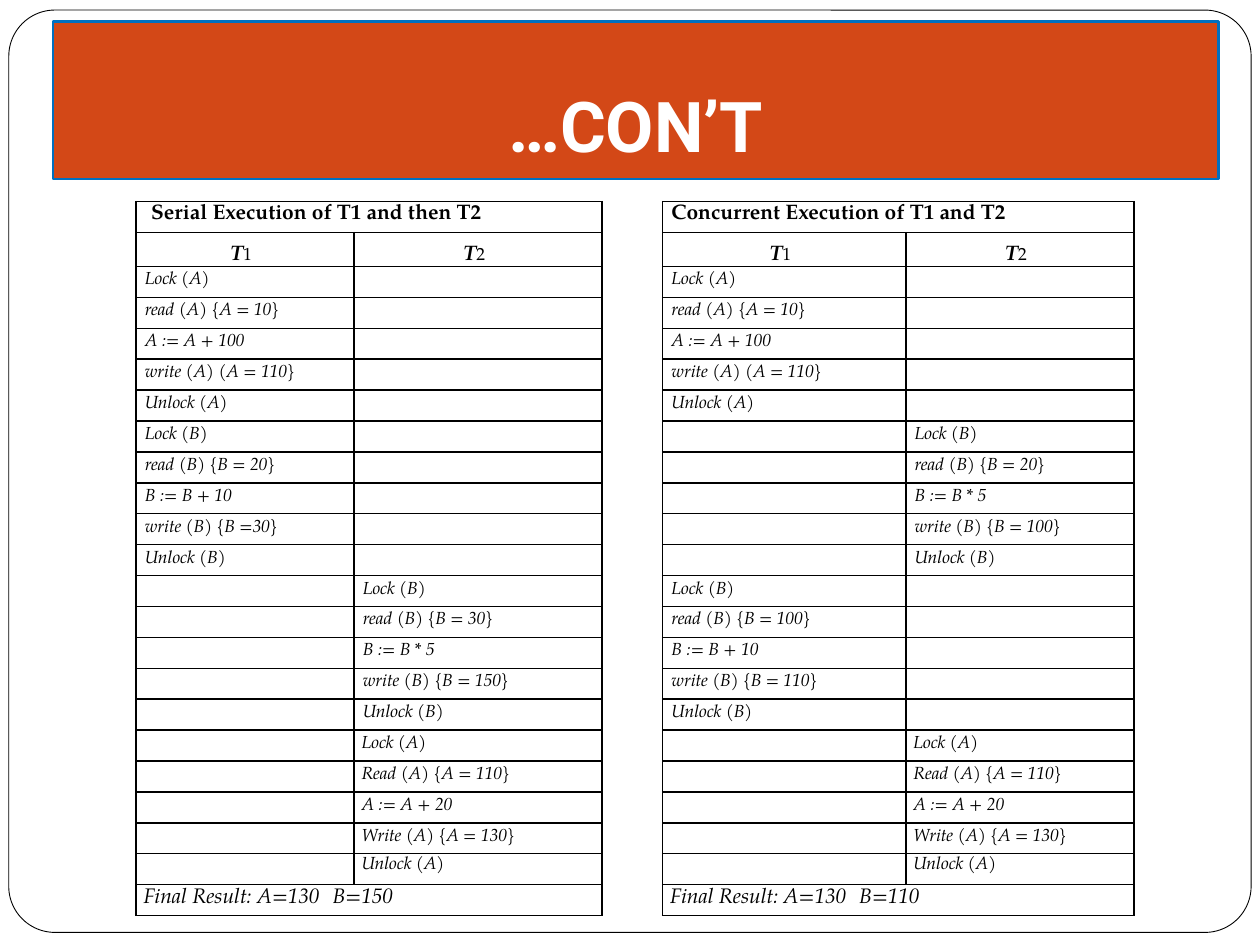
from dataclasses import dataclass

from lxml import etree
from pptx import Presentation
from pptx.dml.color import RGBColor
from pptx.enum.shapes import MSO_SHAPE
from pptx.enum.text import MSO_ANCHOR, PP_ALIGN
from pptx.oxml.ns import qn
from pptx.util import Inches, Pt

ROUNDED = MSO_SHAPE.ROUNDED_RECTANGLE
TOP, BOTTOM = MSO_ANCHOR.TOP, MSO_ANCHOR.BOTTOM
LEFT, CENTER = PP_ALIGN.LEFT, PP_ALIGN.CENTER
TITLE_ONLY = 5


@dataclass(frozen=True)
class Theme:
    paper: str = "FFFFFF"
    ink: str = "000000"
    banner: str = "D34817"
    banner_edge: str = "0070C0"
    title_font: str = "Roboto"
    table_font: str = "TeX Gyre Pagella"
    title_size: int = 40
    heading_size: int = 12
    step_size: int = 10
    table_line_spacing: float = 1.15


class SlideBuilder:
    def __init__(self, slide, theme):
        self.slide = slide
        self.theme = theme

    def outline(self, shape, fill, edge, width):
        shape.fill.solid()
        shape.fill.fore_color.rgb = RGBColor.from_string(fill)
        shape.line.color.rgb = RGBColor.from_string(edge)
        shape.line.width = Pt(width)

    def run(self, paragraph, text, font, size, color, bold=False, italic=False):
        run = paragraph.add_run()
        run.text = text
        run.font.name = font
        run.font.size = Pt(size)
        run.font.bold = bold
        run.font.italic = italic
        run.font.color.rgb = RGBColor.from_string(color)

    def frame(self, left, top, width, height, corner):
        frame = self.slide.shapes.add_shape(
            ROUNDED, Inches(left), Inches(top), Inches(width), Inches(height))
        frame.adjustments[0] = corner
        frame.shadow.inherit = False
        self.outline(frame, self.theme.paper, self.theme.ink, 0.5)

    def title(self, text, left, top, width, height):
        """Place the title and bring it in front of the page frame."""
        title = self.slide.shapes.title
        title.left, title.top = Inches(left), Inches(top)
        title.width, title.height = Inches(width), Inches(height)
        self.outline(title, self.theme.banner, self.theme.banner_edge, 1.5)
        body = title.text_frame
        body.vertical_anchor = BOTTOM
        body.margin_left = body.margin_right = body.margin_bottom = Inches(0.1)
        body.margin_top = Inches(0.05)
        paragraph = body.paragraphs[0]
        paragraph.alignment = CENTER
        self.run(paragraph, text, self.theme.title_font, self.theme.title_size,
                 self.theme.paper, bold=True)
        self.slide.shapes._spTree.append(title._element)

    def table(self, left, top, columns, rows):
        """Add an unfilled table with the given column widths and row heights."""
        table = self.slide.shapes.add_table(
            len(rows), len(columns), Inches(left), Inches(top),
            Inches(sum(columns)), Inches(sum(rows))).table
        table.first_row = table.horz_banding = False
        for column, width in zip(table.columns, columns):
            column.width = Inches(width)
        for row, height in zip(table.rows, rows):
            row.height = Inches(height)
        for cell in table.iter_cells():
            cell.margin_left, cell.margin_right = Inches(0.06), Inches(0.08)
            cell.margin_top = cell.margin_bottom = 0
            self.borders(cell, ("L", "R", "T", "B"))
            cell.fill.background()
            end = etree.SubElement(cell.text_frame.paragraphs[0]._p, qn("a:endParaRPr"))
            end.set("sz", str(self.theme.step_size * 100))
        return table

    def borders(self, cell, visible):
        properties = cell._tc.get_or_add_tcPr()
        for old in [line for line in properties if line.tag.startswith(qn("a:ln"))]:
            properties.remove(old)
        for index, side in enumerate("LRTB"):
            line = etree.Element(qn(f"a:ln{side}"), w=str(Pt(1)))
            properties.insert(index, line)
            if side in visible:
                fill = etree.SubElement(line, qn("a:solidFill"))
                etree.SubElement(fill, qn("a:srgbClr"), val=self.theme.ink)
            else:
                etree.SubElement(line, qn("a:noFill"))

    def cell(self, cell, runs, indent=0, align=LEFT, anchor=TOP, tab=None):
        """Write (text, size, bold, italic) runs into a table cell."""
        cell.vertical_anchor = anchor
        paragraph = cell.text_frame.paragraphs[0]
        properties = paragraph._p.get_or_add_pPr()
        properties.set("marL", str(Inches(indent)))
        properties.set("indent", "0")
        if tab:
            tabs = etree.SubElement(properties, qn("a:tabLst"))
            etree.SubElement(tabs, qn("a:tab"), pos=str(Inches(tab)), algn="l")
        paragraph.alignment = align
        paragraph.line_spacing = self.theme.table_line_spacing
        for text, size, bold, italic in runs:
            self.run(paragraph, text, self.theme.table_font, size,
                     self.theme.ink, bold, italic)


def locked_update(item, read, change, write):
    return [f"Lock ({item})", f"read ({item}) {read}", f"{item} := {item} {change}",
            f"write ({item}) {write}", f"Unlock ({item})"]


A_PLUS_100 = locked_update("A", "{A = 10}", "+ 100", "(A = 110}")
A_PLUS_20 = ["Lock (A)", "Read (A) {A = 110}", "A := A + 20",
             "Write (A) {A = 130}", "Unlock (A)"]

# Each schedule: first column, heading, heading indent, (transaction, steps), result
SCHEDULES = [
    (0, "Serial Execution of T1 and then T2", 0.06, [
        (1, A_PLUS_100),
        (1, locked_update("B", "{B = 20}", "+ 10", "{B =30}")),
        (2, locked_update("B", "{B = 30}", "* 5", "{B = 150}")),
        (2, A_PLUS_20),
    ], "B=150"),
    (3, "Concurrent Execution of T1 and T2", 0.01, [
        (1, A_PLUS_100),
        (2, locked_update("B", "{B = 20}", "* 5", "{B = 100}")),
        (1, locked_update("B", "{B = 100}", "+ 10", "{B = 110}")),
        (2, A_PLUS_20),
    ], "B=110"),
]
COLUMNS = [1.73, 1.97, 0.48, 1.93, 1.81]
GAP_COLUMN = 2
STEP_COUNT = 20
HEADER_HEIGHT = 0.27
ROW_HEIGHT = (5.67 - HEADER_HEIGHT) / (STEP_COUNT + 2)


def fill_schedule(builder, table, first, heading, heading_indent, blocks, result):
    large, small = builder.theme.heading_size, builder.theme.step_size
    spacer = (" ", large, False, False)  # keeps each line as tall as the headings
    last = len(table.rows) - 1
    for row in (0, last):
        table.cell(row, first).merge(table.cell(row, first + 1))
    builder.cell(table.cell(0, first), [(heading, large, True, False)], heading_indent)
    for number in (1, 2):
        builder.cell(table.cell(1, first + number - 1),
                     [("T", large, True, True), (str(number), small, False, False), spacer],
                     align=CENTER, anchor=BOTTOM)
    row = 2
    for transaction, steps in blocks:
        indent = 0 if steps is A_PLUS_20 else 0.01
        for step in steps:
            runs = [(step, small, False, True)]
            if row < last - 1:
                runs.append(spacer)
            builder.cell(table.cell(row, first + transaction - 1), runs, indent)
            row += 1
    builder.cell(table.cell(last, first),
                 [(f"Final Result: A=130\t{result}", large, False, True)], tab=1.57)


def main():
    presentation = Presentation()
    presentation.slide_width, presentation.slide_height = Inches(10), Inches(7.5)
    slide = presentation.slides.add_slide(presentation.slide_layouts[TITLE_ONLY])
    builder = SlideBuilder(slide, Theme())
    builder.frame(0.07, 0.08, 9.86, 7.32, 0.05)
    builder.title("…CON’T", 0.42, 0.17, 9.25, 1.25)

    rows = [ROW_HEIGHT, HEADER_HEIGHT] + [ROW_HEIGHT] * (STEP_COUNT + 1)
    schedule_table = builder.table(1.08, 1.6, COLUMNS, rows)
    for row in range(len(rows)):
        builder.borders(schedule_table.cell(row, GAP_COLUMN), ("L", "R"))
    schedule_table.cell(0, GAP_COLUMN).merge(schedule_table.cell(len(rows) - 1, GAP_COLUMN))
    for schedule in SCHEDULES:
        fill_schedule(builder, schedule_table, *schedule)
    presentation.save("out.pptx")


if __name__ == "__main__":
    main()
